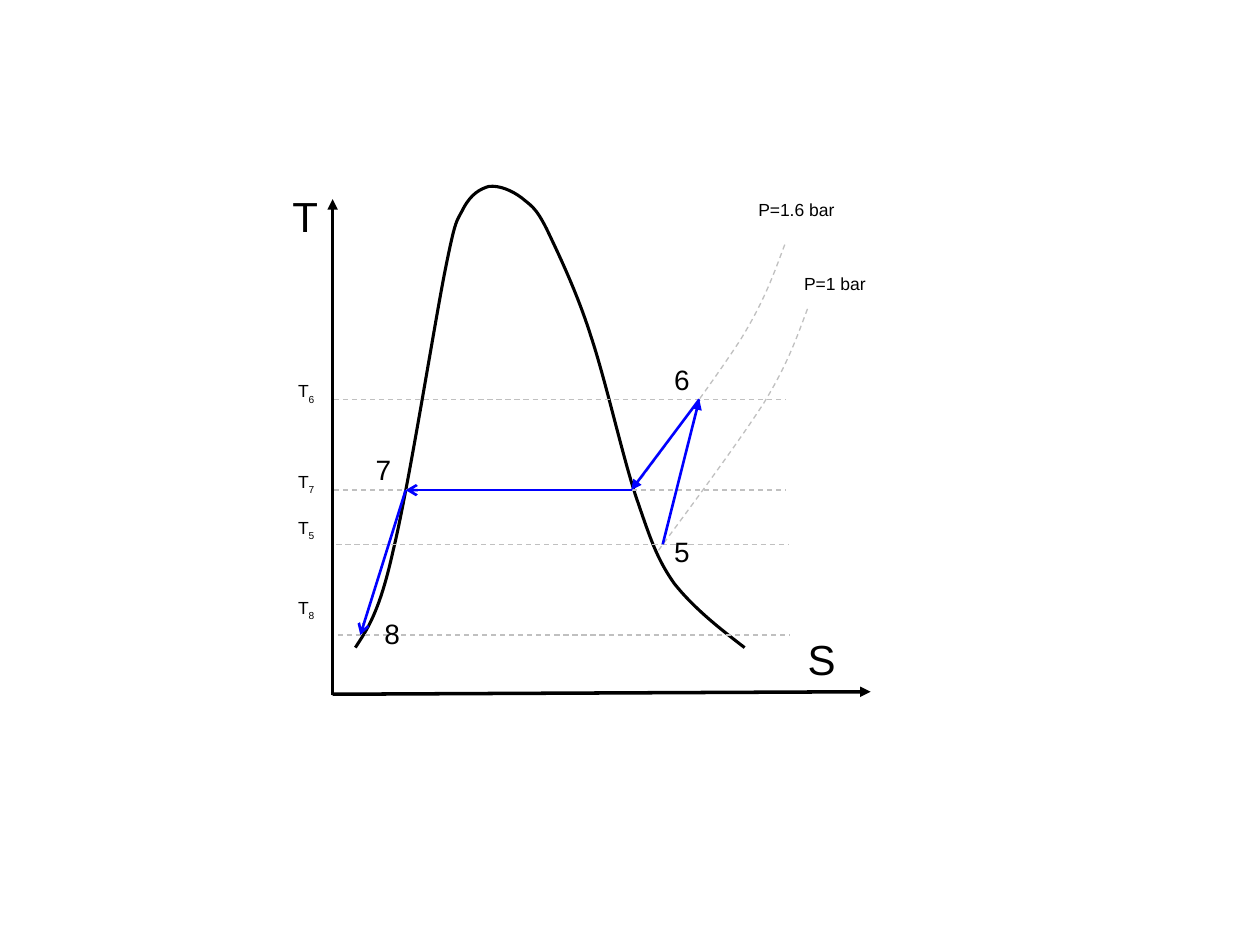
import pptx
import pptx.dml.color
import pptx.enum.dml
import pptx.enum.shapes
import pptx.enum.text
import pptx.oxml.ns
import pptx.util
from lxml import etree

BLACK = pptx.dml.color.RGBColor(0x00, 0x00, 0x00)
GREY = pptx.dml.color.RGBColor(0xC0, 0xC0, 0xC0)
BLUE = pptx.dml.color.RGBColor(0x00, 0x00, 0xFF)
COLUMNS, ROWS = 100, 75

SATURATION_DOME = [
    (28.2, 51.4),
    (29.1, 50), (30.1, 48.7), (31.2, 43.7),
    (32.4, 38.8), (34.4, 26.2), (35.3, 21.6),
    (36.2, 17.1), (36.2, 17.7), (36.8, 16.5),
    (37.4, 15.4), (38.1, 15), (38.8, 14.8),
    (39.6, 14.7), (40.6, 15.1), (41.4, 15.7),
    (42.1, 16.3), (42.5, 16.4), (43.4, 18.2),
    (44.3, 20.1), (45.8, 23.2), (46.9, 26.7),
    (48.1, 30.3), (49.4, 36.2), (50.5, 39.5),
    (51.6, 42.7), (52.1, 44.3), (53.5, 46.3),
    (55, 48.2), (57, 49.8), (59.1, 51.4),
]
# Offsets from the corner of the isobar's frame, before it is tilted
ISOBAR = [
    (7.2, 0),
    (6.9, 2.3), (6.7, 4.6), (5.5, 8.2),
    (4.2, 11.8), (2.1, 16.7), (0, 21.6),
]
ISOBAR_TILT = 13.3


class Diagram:
    """Draws on one page; lengths are columns and rows of the grid."""

    def __init__(self, deck, font="Arial"):
        self.page = deck.slides.add_slide(deck.slide_layouts[6])
        self.font = font
        self.column = deck.slide_width / COLUMNS
        self.row = deck.slide_height / ROWS

    def place(self, x, y):
        return round(x * self.column), round(y * self.row)

    def stroke(self, shape, color, width, dashed):
        shape.line.color.rgb = color
        shape.line.width = pptx.util.Pt(width)
        if dashed:
            shape.line.dash_style = pptx.enum.dml.MSO_LINE.DASH

    def line(self, start, end, color, width, arrow=None, dashed=False):
        connector = self.page.shapes.add_connector(
            pptx.enum.shapes.MSO_CONNECTOR.STRAIGHT, *self.place(*start), *self.place(*end))
        self.stroke(connector, color, width, dashed)
        properties = connector._element.spPr
        if arrow:
            outline = properties.find(pptx.oxml.ns.qn("a:ln"))
            etree.SubElement(outline, pptx.oxml.ns.qn("a:tailEnd"), type=arrow)
        etree.SubElement(properties, pptx.oxml.ns.qn("a:effectLst"))

    def curve(self, points, color, width, dashed=False, tilt=0):
        """Draw Bezier segments: a start, then two controls and an end for each."""
        start, *others = [self.place(*point) for point in points]
        builder = self.page.shapes.build_freeform(*start)
        builder.add_line_segments(others, close=False)
        shape = builder.convert_to_shape()
        shape.shadow.inherit = False
        shape.fill.background()
        self.stroke(shape, color, width, dashed)
        shape.rotation = tilt
        segments = list(shape._element.iter(pptx.oxml.ns.qn("a:lnTo")))
        for first in range(0, len(segments), 3):
            bezier = etree.Element(pptx.oxml.ns.qn("a:cubicBezTo"))
            segments[first].addprevious(bezier)
            for segment in segments[first:first + 3]:
                bezier.append(segment[0])
                segment.getparent().remove(segment)

    def label(self, text, corner, extent, size, subscript="", side=0.9):
        box = self.page.shapes.add_textbox(*self.place(*corner), *self.place(*extent))
        frame = box.text_frame
        frame.word_wrap = True
        frame.margin_left = frame.margin_right = round(side * self.column)
        frame.margin_top = frame.margin_bottom = round(0.4 * self.row)
        para = frame.paragraphs[0]
        para.text = text
        para.alignment = pptx.enum.text.PP_ALIGN.CENTER
        if subscript:
            span = para.add_run()
            span.text = subscript
            span.font._element.set("baseline", "-30000")
        for span in para.runs:
            span.font.name = self.font
            span.font.size = pptx.util.Pt(size)
            span.font.color.rgb = BLACK


def main():
    deck = pptx.Presentation()
    deck.slide_width = pptx.util.Inches(10)
    deck.slide_height = pptx.util.Inches(7.5)
    diagram = Diagram(deck)

    diagram.curve(SATURATION_DOME, BLACK, 1.75)
    diagram.label("S", (63.3, 49.9), (3.8, 6.4), 24, side=0.8)
    diagram.label("T", (22.4, 14.7), (3.6, 6.4), 24, side=0.8)
    for state, top in (("5", 40.6), ("7", 37), ("6", 29.8), ("8", 47)):
        diagram.label("T", (22.4, top), (3.8, 8.4), 10, subscript=state)

    diagram.line((26.4, 55.1), (69.1, 54.9), BLACK, 2, "triangle")
    diagram.line((26.4, 55.2), (26.4, 15.8), BLACK, 2, "triangle")

    for left, level in ((26.5, 38.9), (26.5, 31.7), (26.7, 43.2), (26.8, 50.4)):
        diagram.line((left, level), (left + 35.9, level), GREY, 0.75, dashed=True)
    for left, top in ((52.7, 18.3), (54.5, 23.4)):
        points = [(left + x, top + y) for x, y in ISOBAR]
        diagram.curve(points, GREY, 0.75, dashed=True, tilt=ISOBAR_TILT)

    for start, end, arrow in (
        ((52.6, 43.2), (55.5, 31.7), "triangle"),
        ((55.5, 31.7), (50.1, 38.9), "triangle"),
        ((50.2, 38.9), (32.2, 38.9), "arrow"),
        ((32.2, 38.9), (28.6, 50.4), "arrow"),
    ):
        diagram.line(start, end, BLUE, 1.5, arrow)

    for state, corner in (("5", (52.6, 42)), ("6", (52.6, 28.4)),
                          ("7", (28.9, 35.5)), ("8", (29.6, 48.5))):
        diagram.label(state, corner, (2.9, 4.6), 16)
    diagram.label("P=1 bar", (61.5, 21.3), (9.5, 4.6), 10)
    diagram.label("P=1.6 bar", (58.4, 15.4), (9.6, 8.4), 10)

    deck.save("out.pptx")


if __name__ == "__main__":
    main()
